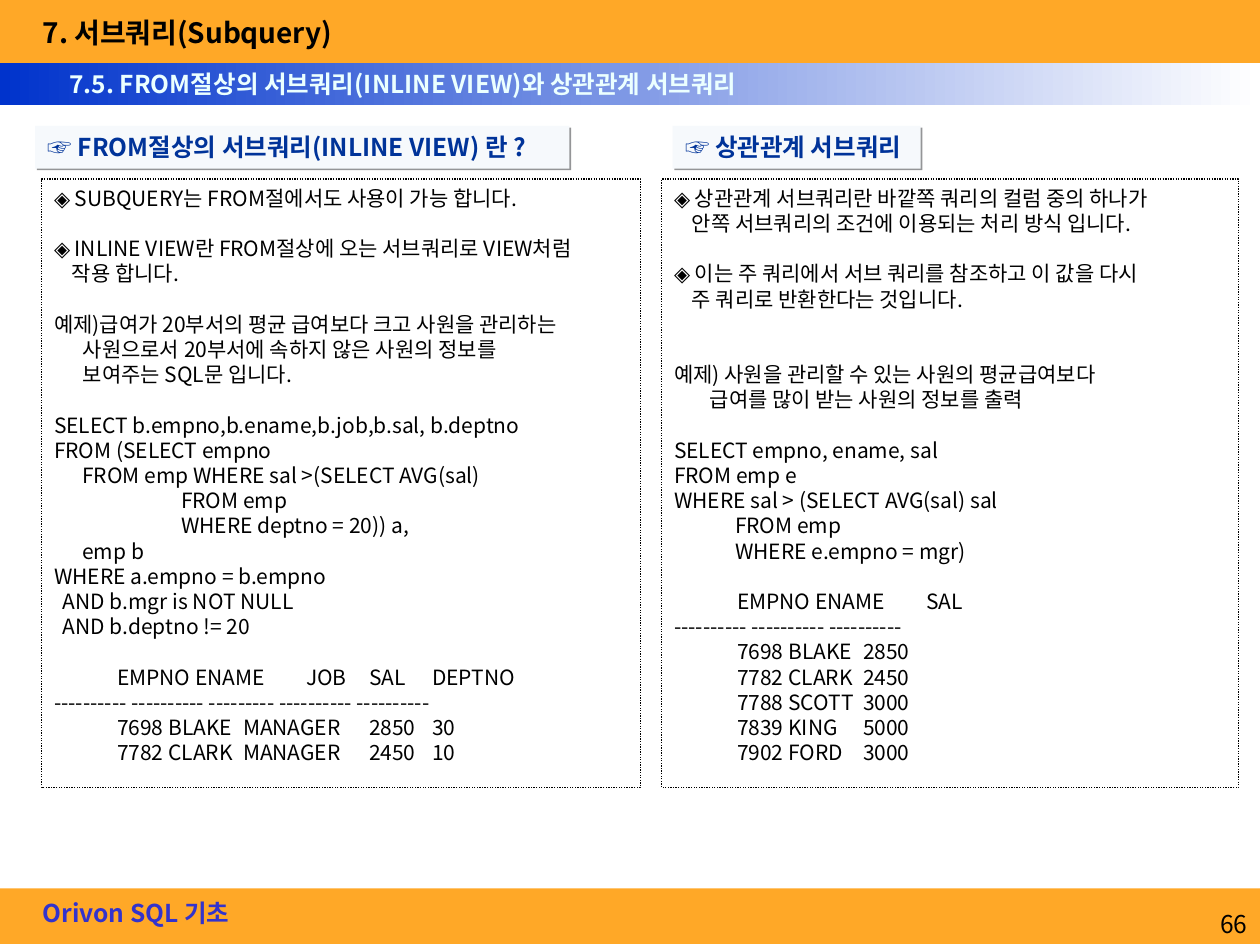
import dataclasses

import pptx
import pptx.dml.color
import pptx.enum.dml
import pptx.enum.shapes
import pptx.enum.text
import pptx.oxml
import pptx.oxml.ns
import pptx.util

Cm = pptx.util.Cm
Pt = pptx.util.Pt
qn = pptx.oxml.ns.qn


@dataclasses.dataclass(frozen=True)
class Theme:
    font: str = "Noto Sans CJK KR"
    band: str = "FFA827"
    fade_from: str = "0033CC"
    fade_to: str = "FFFFFF"
    course: str = "3333CC"
    ink: str = "000000"
    section: str = "EBFFFF"
    heading: str = "003399"
    heading_fill: str = "F6F9FC"
    heading_shadow: str = "949597"
    chapter_size: float = 16
    heading_size: float = 14
    body_size: float = 12
    line_height: float = 1.2


@dataclasses.dataclass(frozen=True)
class Line:
    text: str
    indent: float = 0
    hang: float = 0
    gap: int = 0
    tabs: tuple = ()


THEME = Theme()
HEADER_TABS = (0.48, 4.03, 6.17, 7.38)
EMPLOYEE_TABS = (0.57, 3.45, 6.27, 8.08)
SALARY_HEADER_TABS = (0.48, 4.7)
SALARY_TABS = (0.57, 4.0)

INLINE_VIEW = [
    Line("◈ SUBQUERY는 FROM절에서도 사용이 가능 합니다."),
    Line("◈ INLINE VIEW란 FROM절상에 오는 서브쿼리로 VIEW처럼\v작용 합니다.", hang=0.36, gap=1),
    Line("예제)급여가 20부서의 평균 급여보다 크고 사원을 관리하는\v"
         "사원으로서 20부서에 속하지 않은 사원의 정보를\v보여주는 SQL문 입니다.", hang=0.58, gap=1),
    Line("SELECT b.empno,b.ename,b.job,b.sal, b.deptno", gap=1),
    Line("FROM (SELECT empno"),
    Line("FROM emp WHERE sal >(SELECT AVG(sal)", indent=0.57),
    Line("FROM emp\vWHERE deptno = 20)) a,", indent=2.56),
    Line("emp b", indent=0.57),
    Line("WHERE a.empno = b.empno"),
    Line("AND b.mgr is NOT NULL\vAND b.deptno != 20", indent=0.18),
    Line("\tEMPNO ENAME\tJOB\tSAL\tDEPTNO", gap=1, tabs=HEADER_TABS),
    Line("---------- ---------- --------- ---------- ----------"),
    Line("\t7698 BLAKE\tMANAGER\t2850\t30", tabs=EMPLOYEE_TABS),
    Line("\t7782 CLARK\tMANAGER\t2450\t10", tabs=EMPLOYEE_TABS),
]

CORRELATED = [
    Line("◈ 상관관계 서브쿼리란 바깥쪽 쿼리의 컬럼 중의 하나가\v"
         "안쪽 서브쿼리의 조건에 이용되는 처리 방식 입니다.", hang=0.36),
    Line("◈ 이는 주 쿼리에서 서브 쿼리를 참조하고 이 값을 다시\v"
         "주 쿼리로 반환한다는 것입니다.", hang=0.36, gap=1),
    Line("예제) 사원을 관리할 수 있는 사원의 평균급여보다\v"
         "급여를 많이 받는 사원의 정보를 출력", hang=0.72, gap=2),
    Line("SELECT empno, ename, sal", gap=1),
    Line("FROM emp e"),
    Line("WHERE sal > (SELECT AVG(sal) sal"),
    Line("FROM emp\vWHERE e.empno = mgr)", indent=1.23),
    Line("\tEMPNO ENAME\tSAL", gap=1, tabs=SALARY_HEADER_TABS),
    Line("---------- ---------- ----------"),
] + [
    Line(f"\t{number} {name}\t{salary}", tabs=SALARY_TABS)
    for number, name, salary in [
        (7698, "BLAKE", 2850), (7782, "CLARK", 2450), (7788, "SCOTT", 3000),
        (7839, "KING", 5000), (7902, "FORD", 3000)]
]


def rgb(value):
    return pptx.dml.color.RGBColor.from_string(value)


def set_indents(paragraph, line):
    properties = paragraph._p.get_or_add_pPr()
    properties.set("marL", str(Cm(line.indent + line.hang)))
    properties.set("indent", str(Cm(-line.hang)))
    if line.tabs:
        stops = pptx.oxml.parse_xml(f'<a:tabLst {pptx.oxml.ns.nsdecls("a")}/>')
        for position in line.tabs:
            stop = stops.makeelement(qn("a:tab"), {"pos": str(Cm(position)), "algn": "l"})
            stops.append(stop)
        properties.find(qn("a:defRPr")).addprevious(stops)


def write(frame, lines, size, color, bold=False, align=pptx.enum.text.PP_ALIGN.LEFT):
    frame.word_wrap = True
    frame.margin_right = 0
    frame.vertical_anchor = pptx.enum.text.MSO_ANCHOR.TOP
    pitch = size * THEME.line_height
    for index, line in enumerate(lines):
        paragraph = frame.add_paragraph() if index else frame.paragraphs[0]
        paragraph.text = line.text
        paragraph.alignment = align
        paragraph.line_spacing = Pt(pitch)
        paragraph.space_before = Pt(line.gap * pitch)
        font = paragraph.font
        font.name, font.size, font.bold = THEME.font, Pt(size), bold
        font.color.rgb = rgb(color)
        defaults = paragraph._p.pPr.find(qn("a:defRPr"))
        defaults.append(defaults.makeelement(qn("a:ea"), {"typeface": THEME.font}))
        set_indents(paragraph, line)


def add_box(slide, left, top, width, height, fill=None):
    box = slide.shapes.add_shape(
        pptx.enum.shapes.MSO_SHAPE.RECTANGLE, Cm(left), Cm(top), Cm(width), Cm(height))
    box.shadow.inherit = False
    box.line.fill.background()
    if fill:
        box.fill.solid()
        box.fill.fore_color.rgb = rgb(fill)
    else:
        box.fill.background()
    return box


def add_section_band(slide):
    band = add_box(slide, 0, 1.27, 25.4, 0.84)
    band.fill.gradient()
    band.fill.gradient_angle = 0
    for stop, color in zip(band.fill.gradient_stops, (THEME.fade_from, THEME.fade_to)):
        stop.color.rgb = rgb(color)


def add_label(slide, left, top, width, height, text, size, color, **style):
    label = slide.shapes.add_textbox(Cm(left), Cm(top), Cm(width), Cm(height))
    write(label.text_frame, [Line(text)], size, color, **style)


def add_heading(slide, left, width, text):
    heading = add_box(slide, left, 2.54, width, 0.86, THEME.heading_fill)
    effects = heading._element.spPr.find(qn("a:effectLst"))
    effects.append(pptx.oxml.parse_xml(
        f'<a:outerShdw {pptx.oxml.ns.nsdecls("a")} blurRad="0" dist="{Pt(1.4)}" dir="2700000">'
        f'<a:srgbClr val="{THEME.heading_shadow}"/></a:outerShdw>'))
    write(heading.text_frame, [Line(text)], THEME.heading_size, THEME.heading, bold=True)


def add_panel(slide, left, width, lines):
    panel = add_box(slide, left, 3.61, width, 12.27)
    panel.line.color.rgb = rgb(THEME.ink)
    panel.line.width = Pt(0.75)
    panel.line.dash_style = pptx.enum.dml.MSO_LINE.ROUND_DOT
    write(panel.text_frame, lines, THEME.body_size, THEME.ink)


def main():
    deck = pptx.Presentation()
    deck.slide_width, deck.slide_height = Cm(25.4), Cm(19.05)
    slide = deck.slides.add_slide(deck.slide_layouts[6])

    add_box(slide, 0, 0, 25.4, 1.27, THEME.band)
    add_box(slide, 0, 17.91, 25.4, 1.12, THEME.band)
    add_section_band(slide)

    add_label(slide, 0.61, 17.98, 4.34, 0.86, "Orivon SQL 기초",
              THEME.heading_size, THEME.course, bold=True)
    add_label(slide, 20.12, 18.21, 5.03, 0.84, "66", THEME.heading_size, THEME.ink,
              align=pptx.enum.text.PP_ALIGN.RIGHT)
    add_label(slide, 0.61, 0.18, 6.8, 0.94, "7. 서브쿼리(Subquery)",
              THEME.chapter_size, THEME.ink, bold=True)
    add_label(slide, 1.15, 1.27, 14.76, 0.86,
              "7.5. FROM절상의 서브쿼리(INLINE VIEW)와 상관관계 서브쿼리",
              THEME.heading_size, THEME.section, bold=True)

    add_heading(slide, 0.71, 10.77, "☞ FROM절상의 서브쿼리(INLINE VIEW) 란 ?")
    add_panel(slide, 0.84, 12.07, INLINE_VIEW)
    add_heading(slide, 13.56, 5.0, "☞ 상관관계 서브쿼리")
    add_panel(slide, 13.34, 11.63, CORRELATED)

    deck.save("out.pptx")


if __name__ == "__main__":
    main()
